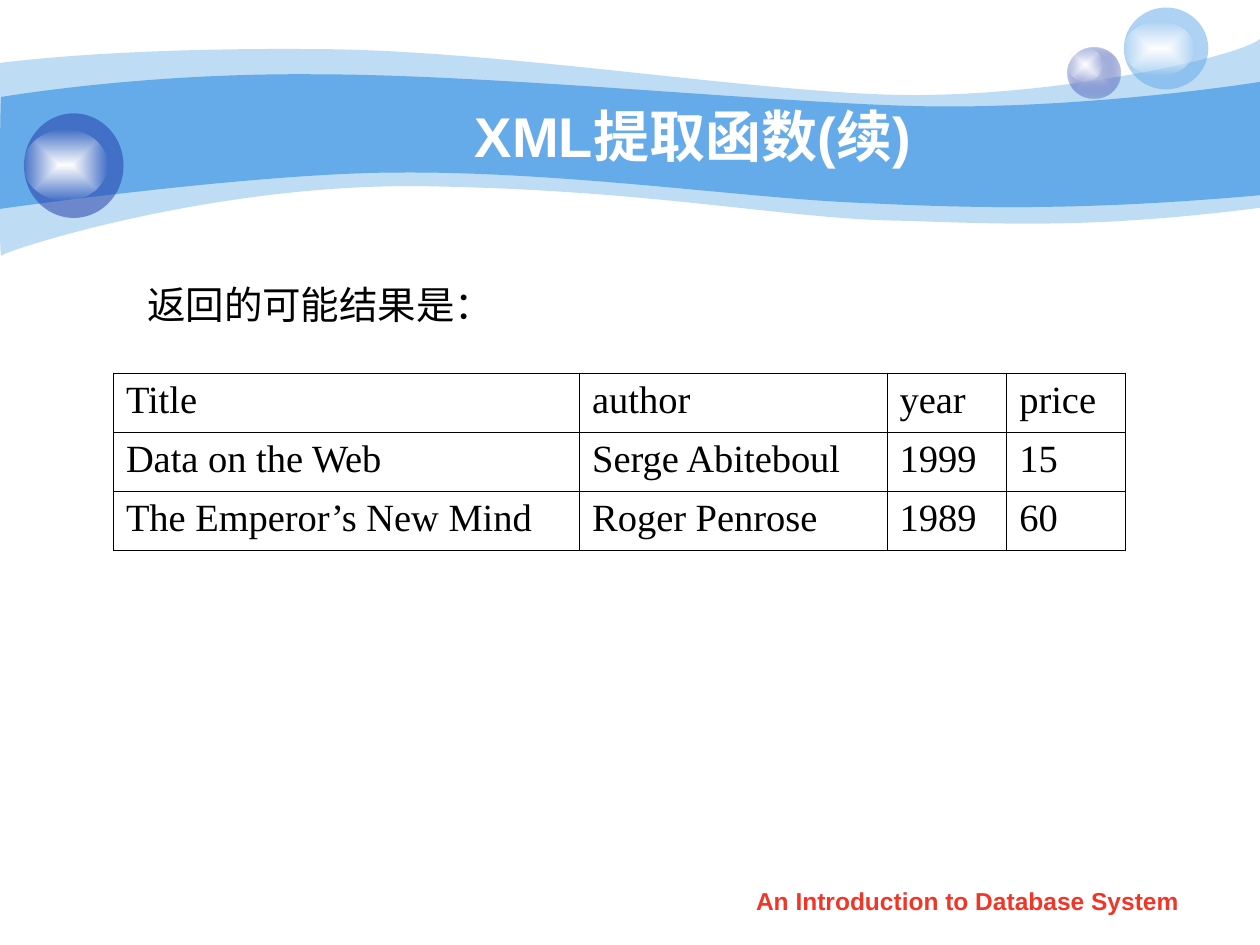
"""Build a slide that shows the result table of the XML extraction functions."""
from lxml import etree
from pptx import Presentation, util as u
from pptx.dml.color import RGBColor
from pptx.enum import shapes, text
from pptx.oxml import parse_xml
from pptx.oxml.ns import nsdecls, qn

COLORS = {"sky": "65AAE9", "navy": "233DA9", "lilac": "C6CCE8", "white": "FFFFFF",
          "clear": "FEFEFE", "black": "000000", "red": "F03628"}


def write(frame, words, size=22, font="Times New Roman", color="black", bold=False,
          align=text.PP_ALIGN.LEFT, anchor=text.MSO_ANCHOR.TOP, wrap=True):
    frame.word_wrap = wrap
    frame.vertical_anchor = anchor
    para = frame.paragraphs[0]
    para.alignment = align
    span = para.add_run()
    span.text = words
    span.font.size = u.Pt(size)
    span.font.name = font
    span.font.bold = bold
    span.font.color.rgb = RGBColor.from_string(COLORS[color])


def paint(shape, *stops):
    shape.shadow.inherit = False
    shape.line.fill.background()
    shape.fill.background()
    tints = [f'<a:srgbClr val="{COLORS[name]}"><a:alpha val="{alpha * 1000}"/></a:srgbClr>'
             for name, alpha in stops]
    if len(tints) == 1:
        markup = f'<a:solidFill {nsdecls("a")}>{tints[0]}</a:solidFill>'
    else:
        markup = (f'<a:gradFill {nsdecls("a")} rotWithShape="1"><a:gsLst>'
                  f'<a:gs pos="0">{tints[0]}</a:gs><a:gs pos="100000">{tints[1]}</a:gs></a:gsLst>'
                  '<a:path path="rect"><a:fillToRect l="50000" t="50000" r="50000" b="50000"/>'
                  '</a:path></a:gradFill>')
    empty = shape._element.spPr.find(qn("a:noFill"))
    empty.getparent().replace(empty, parse_xml(markup))


deck = Presentation()
deck.slide_width, deck.slide_height = u.Inches(10), u.Inches(7.5)
column, row = deck.slide_width / 10, deck.slide_height / 7.5
page = deck.slides.add_slide(deck.slide_layouts[6])

waves = [
    (41, (0, 0.5), [
        [(0.24, 0.47), (1.07, 0.38), (2.47, 0.39)],
        [(3.86, 0.39), (5.75, 0.7), (6.99, 0.75)],
        [(8.22, 0.8), (9.8, 0.47), (10, 0.31)],
        [(10, 1.65)],
        [(8.58, 1.83), (7.87, 1.77), (7.05, 1.75)],
        [(6.22, 1.73), (5.15, 1.51), (3.43, 1.48)],
        [(1.72, 1.44), (0.04, 1.99), (0.01, 2.03)],
        [(-0.01, 2.08), (0, 0.75), (0, 0.5)]]),
    (100, (0.01, 0.77), [
        [(0.02, 0.77), (1.1, 0.58), (2.48, 0.59)],
        [(3.86, 0.59), (5.95, 0.8), (7.18, 0.84)],
        [(8.41, 0.88), (9.76, 0.69), (10, 0.65)],
        [(10, 1.55)],
        [(8.53, 1.68), (7.65, 1.65), (6.82, 1.61)],
        [(5.99, 1.58), (4.47, 1.36), (3.17, 1.37)],
        [(2.03, 1.37), (-0.02, 1.66), (-0.01, 1.66)],
        [(0, 1.66), (0, 0.77), (0.01, 0.77)]]),
]
for alpha, start, segments in waves:
    outline = page.shapes.build_freeform(int(start[0] * column), int(start[1] * row))
    for segment in segments:
        outline.add_line_segments([(int(x * column), int(y * row)) for x, y in segment],
                                  close=False)
    outline.add_line_segments([], close=True)
    wave = outline.convert_to_shape()
    lines = iter(list(wave._element.iter(qn("a:lnTo"))))
    for segment in segments:
        first, *others = [next(lines) for point in segment]
        if others:
            curve = etree.Element(qn("a:cubicBezTo"))
            first.addprevious(curve)
            for line in (first, *others):
                curve.append(line[0])
                line.getparent().remove(line)
    paint(wave, ("sky", alpha))

glow = [("white", 100), ("clear", 0)]
bubbles = [
    (8.47, 0.38, 0.42, 0.4, [("lilac", 100), ("navy", 31)]),
    (8.47, 0.38, 0.28, 0.27, glow),
    (8.92, 0.06, 0.67, 0.65, [("sky", 53)]),
    (8.92, 0.17, 0.56, 0.43, glow),
    (0.19, 0.9, 0.79, 0.83, [("navy", 53)]),
    (0.19, 1.03, 0.66, 0.56, glow),
]
for left, top, width, height, stops in bubbles:
    bubble = page.shapes.add_shape(shapes.MSO_SHAPE.OVAL, int(left * column), int(top * row),
                                   int(width * column), int(height * row))
    paint(bubble, *stops)

center, middle = text.PP_ALIGN.CENTER, text.MSO_ANCHOR.MIDDLE
captions = [
    (1.46, 0.76, 8.08, 0.62, "XML提取函数(续)",
     dict(size=32, font="Arial", color="white", bold=True, align=center, anchor=middle)),
    (1.07, 2.18, 2.94, 0.47, "返回的可能结果是：", dict(anchor=middle, wrap=False)),
    (5.71, 6.98, 3.94, 0.35, "An Introduction to Database System",
     dict(size=14, font="Arial", color="red", bold=True, align=center)),
]
for left, top, width, height, words, style in captions:
    box = page.shapes.add_textbox(int(left * column), int(top * row),
                                  int(width * column), int(height * row))
    write(box.text_frame, words, **style)

books = [
    ("Title", "author", "year", "price"),
    ("Data on the Web", "Serge Abiteboul", "1999", "15"),
    ("The Emperor’s New Mind", "Roger Penrose", "1989", "60"),
]
widths = [3.7, 2.44, 0.95, 0.94]
table = page.shapes.add_table(len(books), len(widths), int(0.9 * column), int(2.96 * row),
                              int(sum(widths) * column), int(0.47 * len(books) * row)).table
table.first_row = table.horz_banding = False
for index, width in enumerate(widths):
    table.columns[index].width = int(width * column)
for line, book in zip(table.rows, books):
    for cell, words in zip(line.cells, book):
        write(cell.text_frame, words)
        cell.fill.background()
        properties = cell._tc.get_or_add_tcPr()
        for position, side in enumerate("LRTB"):
            border = parse_xml(
                f'<a:ln{side} {nsdecls("a")} w="{u.Pt(0.45)}"><a:solidFill>'
                f'<a:srgbClr val="{COLORS["black"]}"/></a:solidFill></a:ln{side}>')
            properties.insert(position, border)

deck.save("out.pptx")
